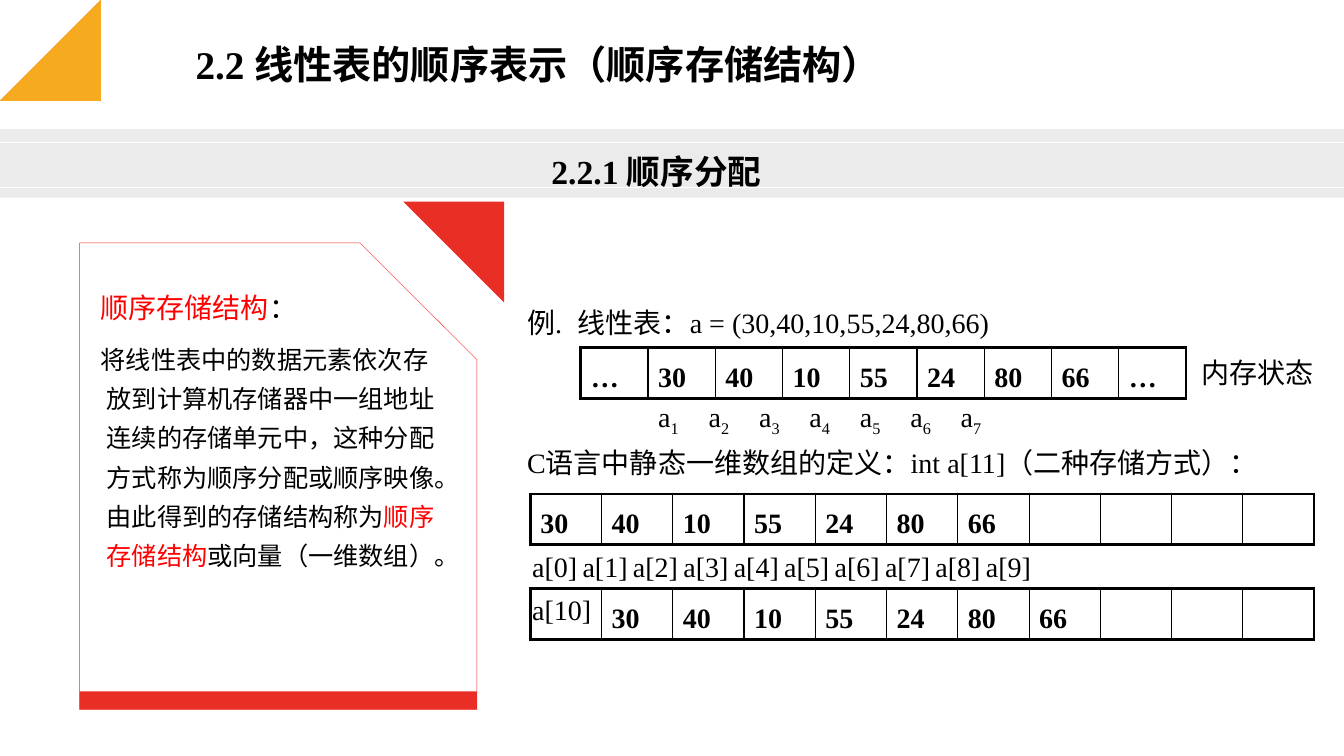
"""Build the slide on sequential storage of linear lists."""
from dataclasses import dataclass

from lxml.etree import SubElement
from pptx import Presentation
from pptx.dml.color import RGBColor
from pptx.enum.shapes import MSO_CONNECTOR as Connector, MSO_SHAPE as Preset
from pptx.enum.text import MSO_ANCHOR as Anchor, MSO_AUTO_SIZE as AutoSize, PP_ALIGN as Align
from pptx.oxml import parse_xml
from pptx.oxml.ns import nsdecls, qn
from pptx.util import Inches, Pt

FONT = "Times New Roman"
BLACK, RED, ACCENT, YELLOW, WHITE = "000000", "FF0000", "E92E25", "F7B61D", "FFFFFF"
LINE_SPACING = 1.3


@dataclass(frozen=True)
class Span:
    text: str
    size: float = 20
    color: str = BLACK
    bold: bool = False
    baseline: int = 0


@dataclass(frozen=True)
class Para:
    spans: tuple[Span, ...]
    tabs: tuple[float, ...] = ()
    margin: float = 0
    indent: float = 0
    after: float = 0


@dataclass(frozen=True)
class TextBox:
    left: float
    top: float
    width: float
    height: float
    paras: tuple[Para, ...]


@dataclass(frozen=True)
class Row:
    left: float
    top: float
    column: float
    values: tuple[str, ...]


@dataclass(frozen=True)
class Panel:
    preset: Preset
    left: float
    top: float
    width: float
    height: float
    fill: str
    alpha: int = 100
    line: str = ""


@dataclass(frozen=True)
class Outline:
    points: tuple[tuple[float, float], ...]
    fill: str
    alpha: int = 100


def rgb(value: str) -> RGBColor:
    return RGBColor.from_string(value)


def paint(shape, color: str, alpha: int = 100, line: str = "") -> None:
    shape.shadow.inherit = False
    shape.fill.solid()
    shape.fill.fore_color.rgb = rgb(color)
    if alpha < 100:
        element = shape.fill._xPr.find(qn("a:solidFill"))[0]
        SubElement(element, qn("a:alpha"), val=str(alpha * 1000))
    if line:
        shape.line.color.rgb = rgb(line)
        shape.line.width = Pt(0.25)
    else:
        shape.line.fill.background()


def draw_panel(page, panel: Panel) -> None:
    shape = page.shapes.add_shape(panel.preset, Inches(panel.left), Inches(panel.top),
                                  Inches(panel.width), Inches(panel.height))
    if panel.preset == Preset.SNIP_1_RECTANGLE:
        shape.adjustments[0] = 0.294
    paint(shape, panel.fill, panel.alpha, panel.line)


def draw_outline(page, outline: Outline) -> None:
    start, *rest = outline.points
    builder = page.shapes.build_freeform(*start, scale=Inches(1))
    builder.add_line_segments(rest, close=True)
    paint(builder.convert_to_shape(), outline.fill, outline.alpha)


def draw_rule(page, top: float) -> None:
    rule = page.shapes.add_connector(Connector.STRAIGHT, 0, Inches(top), Inches(13.33), Inches(top))
    rule.line.color.rgb = rgb(WHITE)
    rule.line.width = Pt(0.5)
    SubElement(rule._element.spPr, qn("a:effectLst"))


def write_span(para, span: Span) -> None:
    run = para.add_run()
    run.text = span.text
    for name, value in {"name": FONT, "size": Pt(span.size), "bold": span.bold}.items():
        setattr(run.font, name, value)
    run.font.color.rgb = rgb(span.color)
    if span.baseline:
        run.font._element.set("baseline", str(span.baseline * 1000))


def write_para(para, content: Para) -> None:
    formats = {"line_spacing": LINE_SPACING, "space_before": Pt(0),
               "space_after": Pt(content.after), "alignment": Align.LEFT}
    for name, value in formats.items():
        setattr(para, name, value)
    properties = para._p.get_or_add_pPr()
    properties.set("marL", str(Inches(content.margin)))
    properties.set("indent", str(Inches(content.indent)))
    if content.tabs:
        stops = SubElement(properties, qn("a:tabLst"))
        for position in content.tabs:
            SubElement(stops, qn("a:tab"), pos=str(Inches(position)), algn="l")
    for span in content.spans:
        if span.text == "\v":
            para.add_line_break()
        else:
            write_span(para, span)


def fill_box(shape, box: TextBox) -> None:
    for name in ("left", "top", "width", "height"):
        setattr(shape, name, Inches(getattr(box, name)))
    frame = shape.text_frame
    formats = {"word_wrap": True, "auto_size": AutoSize.NONE, "vertical_anchor": Anchor.TOP}
    for name, value in formats.items():
        setattr(frame, name, value)
    for index, content in enumerate(box.paras):
        write_para(frame.add_paragraph() if index else frame.paragraphs[0], content)


def draw_row(page, row: Row) -> None:
    count = len(row.values)
    frame = page.shapes.add_table(1, count, Inches(row.left), Inches(row.top),
                                  Inches(row.column * count), Inches(0.47))
    table = frame.table
    table.first_row = table.horz_banding = False
    for index, value in enumerate(row.values):
        table.columns[index].width = Inches(row.column)
        cell = table.cell(0, index)
        cell.fill.background()
        write_para(cell.text_frame.paragraphs[0], Para((Span(value, bold=True),) if value else ()))
        widths = {"L": 1 if index else 2.25, "R": 1 if index < count - 1 else 2.25,
                  "T": 2.25, "B": 2.25}
        for place, (side, width) in enumerate(widths.items()):
            border = parse_xml(f'<a:ln{side} {nsdecls("a")} w="{Pt(width)}"><a:solidFill>'
                               f'<a:srgbClr val="{BLACK}"/></a:solidFill></a:ln{side}>')
            cell._tc.get_or_add_tcPr().insert(place, border)


def subscripts(count: int) -> tuple[Span, ...]:
    return tuple(span for number in range(1, count + 1) for span in (
        Span("a" if number == 1 else "\ta"), Span(str(number), baseline=-25)))


NUMBERS = ("30", "40", "10", "55", "24", "80", "66")
PANELS = (
    Panel(Preset.SNIP_1_RECTANGLE, 0.79, 2.41, 3.94, 4.63, WHITE, line=ACCENT),
    Panel(Preset.RECTANGLE, 0.79, 6.86, 3.94, 0.18, ACCENT),
    Panel(Preset.RECTANGLE, 0, 1.28, 13.33, 0.68, "404040", alpha=10),
)
OUTLINES = (
    Outline(((4.73, 2.41), (3.73, 2.41), (4.73, 3.46)), ACCENT),
    Outline(((0.5, 1.12), (0.88, 1.12), (1.49, 0.5), (1.52, 0.46), (1.53, 0.41), (1.52, 0.36),
             (1.49, 0.32), (1.17, 0), (0.8, 0), (1.21, 0.41)), ACCENT, 90),
    Outline(((0.24, 0.94), (0.51, 0.94), (0.97, 0.49), (0.99, 0.46), (1, 0.42), (0.99, 0.38),
             (0.97, 0.35), (0.61, 0), (0.34, 0), (0.76, 0.42)), YELLOW, 90),
)
TITLE = TextBox(1.84, 0.21, 8.02, 0.65,
                (Para((Span("2.2 线性表的顺序表示（顺序存储结构）", 28, bold=True),)),))
INDEXES = "\t".join(f"a[{index}]" for index in range(10))
BOXES = (
    TextBox(0.58, 2.73, 3.94, 3.2, (
        Para((Span("顺序存储结构", color=RED), Span("：")), margin=0.38, indent=-0.06, after=8),
        Para((Span("将线性表中的数据元素依次存放到计算机存储器中一组地址连续的存储单元中，"
                   "这种分配方式称为顺序分配或顺序映像。由此得到的存储结构称为", 18),
              Span("顺序存储结构", 18, RED), Span("或向量（一维数组）。", 18)),
             margin=0.38, indent=-0.06))),
    TextBox(6.43, 3.8, 4.81, 0.49, (
        Para(subscripts(7), tabs=(0.64, 1.3, 1.86, 2.47, 3.04, 3.65)),)),
    TextBox(5.18, 5.3, 7.87, 0.9, (
        Para((Span(INDEXES), Span("\v"), Span("a[10]")),
             tabs=(0.79, 1.52, 2.31, 2.96, 3.7, 4.41, 5.07, 5.79, 6.53)),)),
    TextBox(5.13, 4.27, 8.1, 0.5, (
        Para((Span("C语言中静态一维数组的定义：int a[11]（二种存储方式）："),)),)),
    TextBox(11.82, 3.38, 1.5, 0.5, (Para((Span("内存状态"),)),)),
    TextBox(5.13, 2.88, 7.16, 0.5, (
        Para((Span("例.\t线性表：a = (30,40,10,55,24,80,66)"),), tabs=(0.62,)),)),
    TextBox(5.37, 1.33, 5, 0.57, (Para((Span("2.2.1 顺序分配", 24, bold=True),)),)),
)
ROWS = (
    Row(5.76, 3.45, 0.667, ("…", *NUMBERS, "…")),
    Row(5.26, 4.9, 0.707, (*NUMBERS, "", "", "", "")),
    Row(5.26, 5.84, 0.707, ("", *NUMBERS, "", "", "")),
)


def main() -> None:
    deck = Presentation()
    deck.slide_width, deck.slide_height = Inches(13.33), Inches(7.5)
    page = deck.slides.add_slide(deck.slide_layouts[5])
    fill_box(page.shapes.title, TITLE)
    for panel in PANELS:
        draw_panel(page, panel)
    for top in (1.41, 1.86):
        draw_rule(page, top)
    for outline in OUTLINES:
        draw_outline(page, outline)
    for box in BOXES:
        fill_box(page.shapes.add_textbox(0, 0, 0, 0), box)
    for row in ROWS:
        draw_row(page, row)
    deck.save("out.pptx")


if __name__ == "__main__":
    main()
